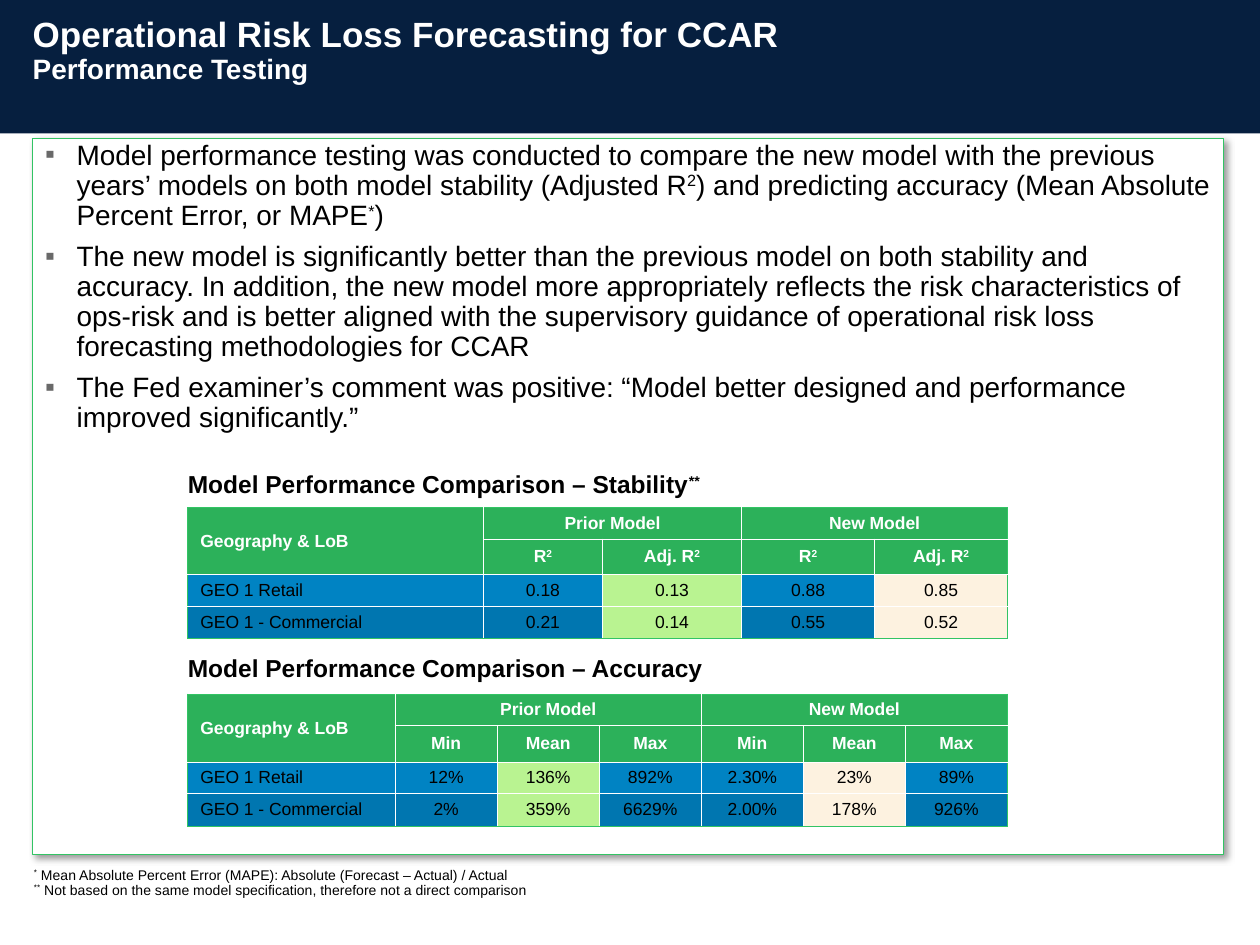
from dataclasses import dataclass

from lxml import etree
from pptx import Presentation
from pptx.dml.color import RGBColor
from pptx.enum import shapes, text
from pptx.oxml import ns
from pptx.util import Pt


@dataclass(frozen=True)
class Theme:
    font: str = "Arial"
    navy: str = "061F3F"
    white: str = "FFFFFF"
    black: str = "000000"
    edge: str = "32C464"
    header: str = "2CB15A"
    prior: str = "B9F391"
    new: str = "FDF2E0"
    bullet: str = "696969"
    bands: tuple = ("0083C3", "0076B0")
    title: int = 20
    body: int = 16
    heading: int = 14
    cell: int = 10
    note: int = 8
    spacing: float = 0.9


THEME = Theme()
TITLE = "Operational Risk Loss Forecasting for CCAR\vPerformance Testing"
BULLETS = [
    "Model performance testing was conducted to compare the new model with the previous years’ models on both "
    "model stability (Adjusted R^2^) and predicting accuracy (Mean Absolute Percent Error, or MAPE^*^)",
    "The new model is significantly better than the previous model on both stability and accuracy. In addition, "
    "the new model more appropriately reflects the risk characteristics of ops-risk and is better aligned with "
    "the supervisory guidance of operational risk loss forecasting methodologies for CCAR",
    "The Fed examiner’s comment was positive: “Model better designed and performance improved significantly.”",
]
NOTES = [
    "^*^ Mean Absolute Percent Error (MAPE): Absolute (Forecast – Actual) / Actual",
    "^**^ Not based on the same model specification, therefore not a direct comparison",
]
GROUPS = ["Prior Model", "New Model"]
COMPARISONS = [
    {
        "heading": "Model Performance Comparison – Stability^**^",
        "heading_top": 270, "top": 290, "key_measure": 1,
        "widths": [169, 68, 79.5, 76, 76],
        "heights": [18, 20.5, 18, 18.5],
        "measures": ["R^2^", "Adj. R^2^"],
        "rows": [
            ["GEO 1 Retail", "0.18", "0.13", "0.88", "0.85"],
            ["GEO 1 - Commercial", "0.21", "0.14", "0.55", "0.52"],
        ],
    },
    {
        "heading": "Model Performance Comparison – Accuracy",
        "heading_top": 375, "top": 396.6, "key_measure": 1,
        "widths": [118.5] + [58.33] * 6,
        "heights": [18, 21, 18, 18.5],
        "measures": ["Min", "Mean", "Max"],
        "rows": [
            ["GEO 1 Retail", "12%", "136%", "892%", "2.30%", "23%", "89%"],
            ["GEO 1 - Commercial", "2%", "359%", "6629%", "2.00%", "178%", "926%"],
        ],
    },
]
TABLE_LEFT = 107.3


def color(code):
    """Turn a hex code into a colour."""
    return RGBColor.from_string(code)


def write(para, content, size, ink, bold=False):
    """Write one paragraph, raising the parts between carets."""
    for index, part in enumerate(content.split("^")):
        if part:
            span = para.add_run()
            span.text = part
            if index % 2:
                span.font._element.set("baseline", "30000")
    style(para, size, ink, bold)


def style(para, size, ink, bold=False):
    """Format every run of a paragraph."""
    para.line_spacing = THEME.spacing
    for span in para.runs:
        span.font.name = THEME.font
        span.font.size = Pt(size)
        span.font.bold = bold
        span.font.color.rgb = color(ink)


def add_text(page, frame, lines, size, bold=False, inset=(0, 0)):
    """Add a wrapped text box with one paragraph per line."""
    box = page.shapes.add_textbox(*map(Pt, frame))
    body = box.text_frame
    body.word_wrap = True
    body.margin_left = body.margin_right = Pt(inset[0])
    body.margin_top = body.margin_bottom = Pt(inset[1])
    for index, line in enumerate(lines):
        para = body.add_paragraph() if index else body.paragraphs[0]
        write(para, line, size, THEME.black, bold)
    return body


def add_title(page):
    """Add the title with its smaller second line."""
    body = add_text(page, (18.7, 9.4, 556.6, 39.6), [], THEME.title)
    body.vertical_anchor = text.MSO_ANCHOR.MIDDLE
    para = body.paragraphs[0]
    para.text = TITLE
    style(para, THEME.title, THEME.white, True)
    para.runs[-1].font.size = Pt(THEME.body)


def add_panel(page, frame, fill, line=None):
    """Add a plain rectangle and return it."""
    panel = page.shapes.add_shape(shapes.MSO_SHAPE.RECTANGLE, *map(Pt, frame))
    panel.shadow.inherit = False
    panel.fill.solid()
    panel.fill.fore_color.rgb = color(fill)
    if line:
        panel.line.color.rgb = color(line)
        panel.line.width = Pt(0.5)
    else:
        panel.line.fill.background()
    return panel


def child(parent, tag, **attributes):
    """Append a drawing element with its attributes."""
    return etree.SubElement(parent, ns.qn(tag), {name: str(value) for name, value in attributes.items()})


def drop_shadow(panel):
    """Give a panel a soft shadow to the lower right."""
    effects = panel._element.spPr.find(ns.qn("a:effectLst"))
    shadow = child(effects, "a:outerShdw", blurRad=Pt(4), dist=Pt(3), dir=45 * 60000, algn="tl", rotWithShape=0)
    child(child(shadow, "a:srgbClr", val=THEME.black), "a:alpha", val=40000)


def add_bullets(page):
    """Add the bulleted findings."""
    body = add_text(page, (18.7, 77, 680.4, 193.7), BULLETS, THEME.body, inset=(7.2, 3.6))
    for index, para in enumerate(body.paragraphs):
        para.space_before = Pt(3 if index else 0)
        para.space_after = Pt(3)
        properties = para._p.get_or_add_pPr()
        properties.set("marL", str(Pt(18)))
        properties.set("indent", str(-Pt(18)))
        child(child(properties, "a:buClr"), "a:srgbClr", val=THEME.bullet)
        child(properties, "a:buFont", typeface=THEME.font)
        child(properties, "a:buChar", char="▪")


def add_borders(cell, outer):
    """Draw the cell borders, green on the outer sides of the table."""
    properties = cell._tc.get_or_add_tcPr()
    for side in "LRTB":
        line = child(properties, f"a:ln{side}", w=Pt(0.5))
        ink = THEME.edge if side in outer else THEME.white
        child(child(line, "a:solidFill"), "a:srgbClr", val=ink)


def cell_fill(row, column, comparison):
    """Choose the fill of a cell from its place."""
    if row < 2:
        return THEME.header
    group, measure = divmod(column - 1, len(comparison["measures"]))
    if column and measure == comparison["key_measure"]:
        return (THEME.prior, THEME.new)[group]
    return THEME.bands[row - 2]


def add_comparison(page, comparison):
    """Add one headed comparison table."""
    add_text(page, (TABLE_LEFT, comparison["heading_top"], 329.8, 17.3),
             [comparison["heading"]], THEME.heading, True)
    widths, heights, measures = (comparison[key] for key in ("widths", "heights", "measures"))
    count = len(measures)
    top_row = ["Geography & LoB"]
    for group in GROUPS:
        top_row += [group] + [""] * (count - 1)
    grid = [top_row, [""] + measures * len(GROUPS)] + comparison["rows"]
    frame = (TABLE_LEFT, comparison["top"], sum(widths), sum(heights))
    table = page.shapes.add_table(len(grid), len(widths), *map(Pt, frame)).table
    table.first_row = table.horz_banding = False
    for column, width in zip(table.columns, widths):
        column.width = Pt(width)
    for row, height in zip(table.rows, heights):
        row.height = Pt(height)
    table.cell(0, 0).merge(table.cell(1, 0))
    for start in range(1, len(widths), count):
        table.cell(0, start).merge(table.cell(0, start + count - 1))
    for row, values in enumerate(grid):
        for column, value in enumerate(values):
            cell = table.cell(row, column)
            last_column = column + cell.span_width == len(widths)
            sides = {"L": column == 0, "R": last_column, "T": row == 0, "B": row == len(grid) - 1}
            add_borders(cell, [side for side, outer in sides.items() if outer])
            cell.fill.solid()
            cell.fill.fore_color.rgb = color(cell_fill(row, column, comparison))
            cell.vertical_anchor = text.MSO_ANCHOR.MIDDLE
            cell.margin_left = cell.margin_right = Pt(0.7 if column else 7.2)
            cell.margin_top, cell.margin_bottom = Pt(0.7), Pt(0)
            para = cell.text_frame.paragraphs[0]
            para.alignment = text.PP_ALIGN.CENTER if column else text.PP_ALIGN.LEFT
            write(para, value, THEME.cell, THEME.white if row < 2 else THEME.black, row < 2)


def main():
    """Build the slide and save it."""
    deck = Presentation()
    deck.slide_width, deck.slide_height = Pt(720), Pt(540)
    page = deck.slides.add_slide(deck.slide_layouts[6])
    add_panel(page, (0, 0, 720, 76.3), THEME.navy)
    drop_shadow(add_panel(page, (18.7, 79.2, 680.4, 409), THEME.white, THEME.edge))
    add_title(page)
    add_bullets(page)
    add_text(page, (19.4, 496, 498.2, 19.4), NOTES, THEME.note)
    for comparison in COMPARISONS:
        add_comparison(page, comparison)
    deck.save("out.pptx")


if __name__ == "__main__":
    main()
